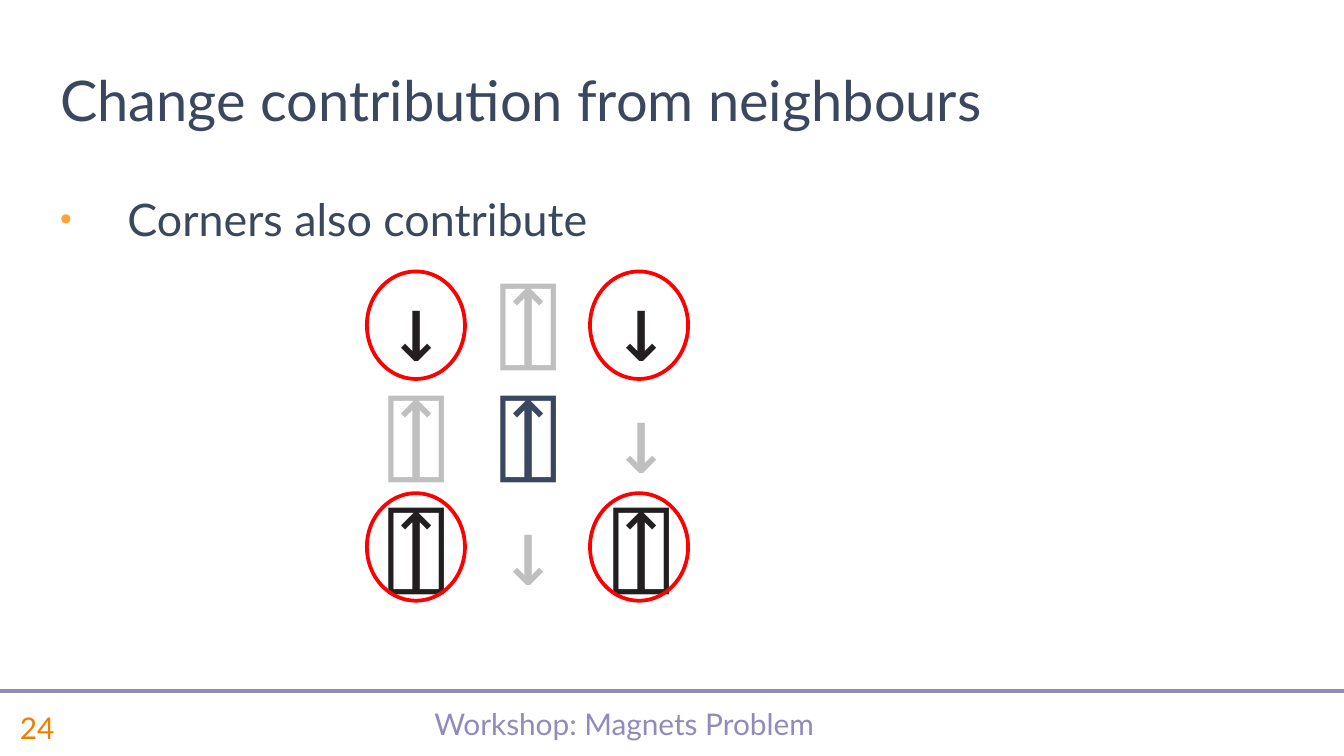
from dataclasses import dataclass
from itertools import product
from typing import Any

from lxml import etree
from pptx import Presentation
from pptx.dml.color import RGBColor
from pptx.enum.shapes import MSO_CONNECTOR, MSO_SHAPE
from pptx.enum.text import MSO_ANCHOR, MSO_AUTO_SIZE, PP_ALIGN
from pptx.oxml.ns import qn
from pptx.util import Inches, Pt

TOP, MIDDLE, BOTTOM = MSO_ANCHOR.TOP, MSO_ANCHOR.MIDDLE, MSO_ANCHOR.BOTTOM
FIXED, GROW = MSO_AUTO_SIZE.NONE, MSO_AUTO_SIZE.SHAPE_TO_FIT_TEXT
CENTER = PP_ALIGN.CENTER
STRAIGHT = MSO_CONNECTOR.STRAIGHT
OVAL = MSO_SHAPE.OVAL

NAVY, LILAC, ORANGE, AMBER = "3B475E", "928ABD", "ED7F00", "FFA336"
BLACK, GREY, RED = "231F20", "BFBFBF", "FF0000"
SANS, MONO = "Lato", "DejaVu Sans Mono"

SLIDE_WIDTH = 10
SLIDE_HEIGHT = SLIDE_WIDTH * 9 / 16
FOOTER_TOP, FOOTER_HEIGHT = 5.19, 0.44
RULE_TOP = 5.14
CORNER_LEFTS, CORNER_TOPS = (2.73, 4.39), (2.02, 3.67)
CORNER_WIDTH, CORNER_HEIGHT = 0.73, 0.8


@dataclass(frozen=True)
class Run:
    text: str
    color: str


@dataclass(frozen=True)
class TextBlock:
    left: float
    top: float
    width: float
    height: float
    lines: list[list[Run]]
    size: int
    font: str
    frame: dict[str, Any]
    paragraph: dict[str, Any]


def rgb(hex_color: str) -> RGBColor:
    return RGBColor.from_string(hex_color)


def apply_format(target: Any, values: dict[str, Any]) -> None:
    for attribute, value in values.items():
        setattr(target, attribute, value)


def draw_text(slide: Any, block: TextBlock) -> Any:
    box = slide.shapes.add_textbox(
        Inches(block.left), Inches(block.top), Inches(block.width), Inches(block.height)
    )
    frame = box.text_frame
    apply_format(frame, {"word_wrap": True, "auto_size": FIXED} | block.frame)
    for index, line in enumerate(block.lines):
        paragraph = frame.add_paragraph() if index else frame.paragraphs[0]
        apply_format(paragraph, block.paragraph)
        for part in line:
            run = paragraph.add_run()
            run.text = part.text
            apply_format(run.font, {"name": block.font, "size": Pt(block.size)})
            run.font.color.rgb = rgb(part.color)
    return frame


def add_bullet(paragraph: Any, symbol: str, color: str, percent: int, indent: float) -> None:
    properties = paragraph._p.get_or_add_pPr()
    properties.set("marL", str(Inches(indent)))
    properties.set("indent", str(Inches(-indent)))
    bullet_color = etree.SubElement(properties, qn("a:buClr"))
    etree.SubElement(bullet_color, qn("a:srgbClr"), val=color)
    etree.SubElement(properties, qn("a:buSzPct"), val=str(percent * 1000))
    etree.SubElement(properties, qn("a:buFont"), typeface="Arial")
    etree.SubElement(properties, qn("a:buChar"), char=symbol)


def draw_rule(slide: Any, top: float) -> None:
    rule = slide.shapes.add_connector(
        STRAIGHT, Inches(0), Inches(top), Inches(SLIDE_WIDTH), Inches(top)
    )
    rule.line.color.rgb = rgb(LILAC)
    rule.line.width = Pt(2.25)
    etree.SubElement(rule._element.spPr, qn("a:effectLst"))


def draw_corner_ring(slide: Any, left: float, top: float) -> None:
    ring = slide.shapes.add_shape(
        OVAL, Inches(left), Inches(top), Inches(CORNER_WIDTH), Inches(CORNER_HEIGHT)
    )
    ring.shadow.inherit = False
    ring.fill.background()
    ring.line.color.rgb = rgb(RED)
    ring.line.width = Pt(2)


FOOTER = TextBlock(
    0.78, FOOTER_TOP, 7.73, FOOTER_HEIGHT, [[Run("Workshop: Magnets Problem", LILAC)]],
    16, SANS, {"vertical_anchor": MIDDLE}, {"alignment": CENTER, "line_spacing": 0.8},
)
PAGE_NUMBER = TextBlock(
    0.05, FOOTER_TOP, 0.73, FOOTER_HEIGHT, [[Run("24", ORANGE)]],
    16, SANS, {"vertical_anchor": MIDDLE}, {},
)
STATEMENT = TextBlock(
    0.35, 1.38, 6.66, 3.55, [[Run("Corners also contribute", NAVY)]],
    24, SANS, {"vertical_anchor": TOP}, {"space_after": Pt(6)},
)
TITLE = TextBlock(
    0.35, 0.29, 7.66, 0.75, [[Run("Change contribution from neighbours", NAVY)]],
    30, SANS, {"vertical_anchor": BOTTOM}, {},
)
MAGNETS = TextBlock(
    2.79, 1.95, 2.31, 2.63,
    [
        [Run("↓ ", BLACK), Run("⍐ ", GREY), Run("↓", BLACK)],
        [Run("⍐", GREY), Run(" ⍐ ", NAVY), Run("↓", GREY)],
        [Run("⍐ ", BLACK), Run("↓ ", GREY), Run("⍐", BLACK)],
    ],
    50, MONO, {"word_wrap": False, "auto_size": GROW}, {},
)


def main() -> None:
    deck = Presentation()
    apply_format(
        deck, {"slide_width": Inches(SLIDE_WIDTH), "slide_height": Inches(SLIDE_HEIGHT)}
    )
    slide = deck.slides.add_slide(deck.slide_layouts[6])
    for block in (FOOTER, PAGE_NUMBER):
        draw_text(slide, block)
    draw_rule(slide, RULE_TOP)
    statement = draw_text(slide, STATEMENT)
    add_bullet(statement.paragraphs[0], "•", AMBER, 75, 0.5)
    for block in (TITLE, MAGNETS):
        draw_text(slide, block)
    for top, left in product(CORNER_TOPS, CORNER_LEFTS):
        draw_corner_ring(slide, left, top)
    deck.save("out.pptx")


if __name__ == "__main__":
    main()
